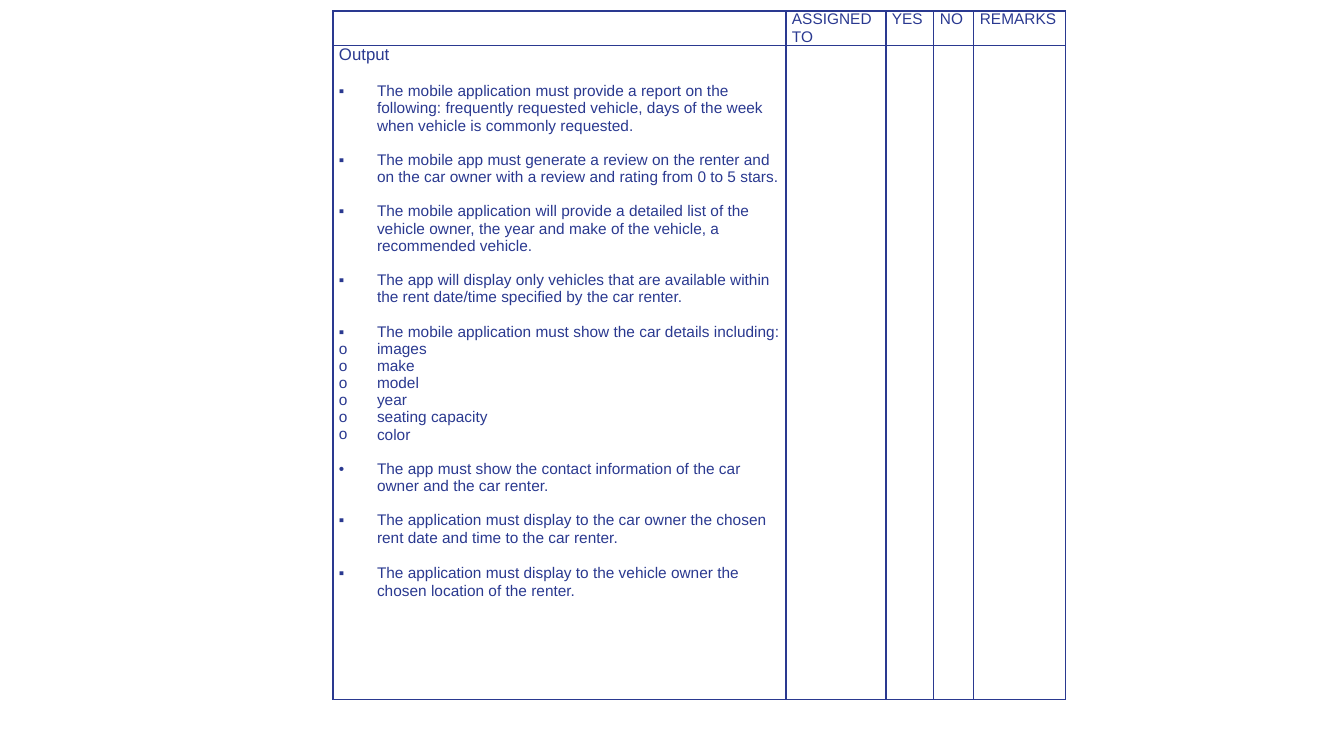
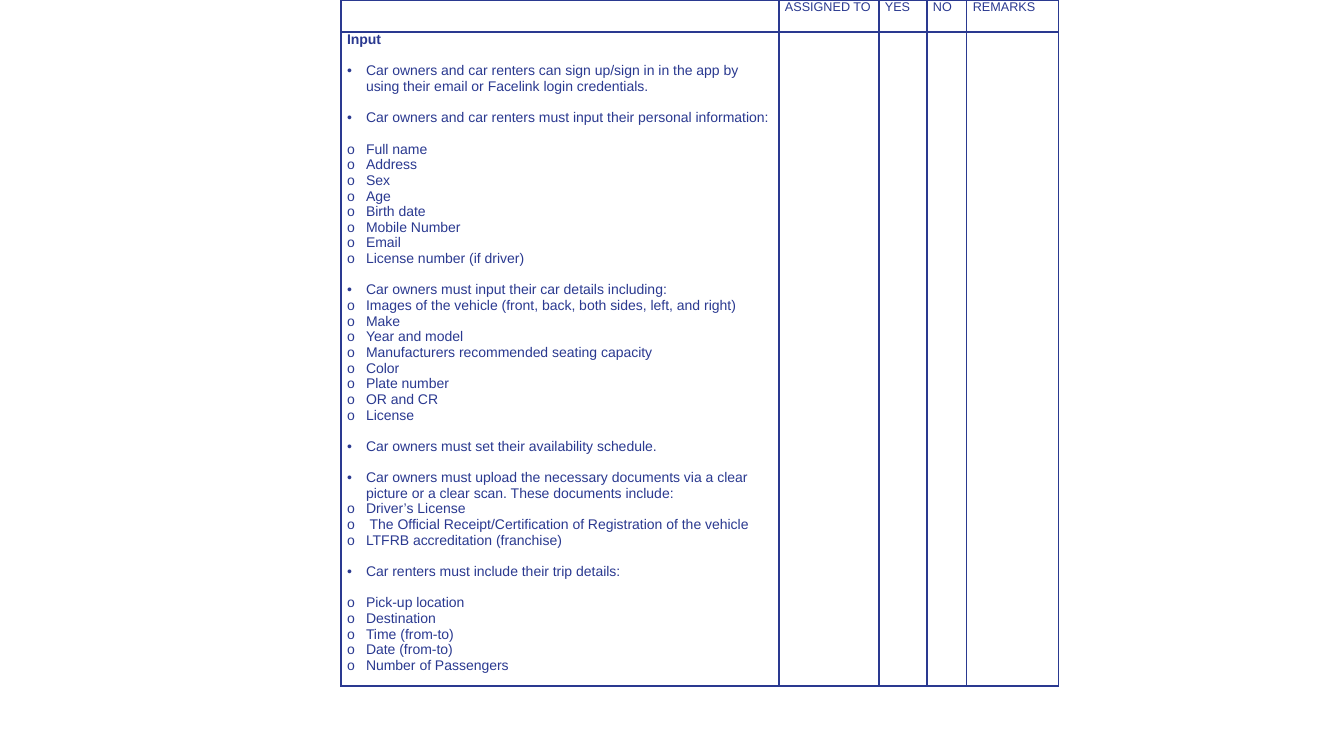
"""Builds two requirement checklists, one table per slide."""
from lxml.etree import SubElement
from pptx import Presentation
from pptx.dml.color import RGBColor as Rgb
from pptx.oxml.ns import qn
from pptx.util import Pt

COLORS = {"ink": "2A3990"}
HEADINGS = ["", "ASSIGNED TO", "YES", "NO", "REMARKS"]
ANSWER_WIDTHS = [100, 48, 40, 92]
SQUARE, DOT, RING = "▪", "•", "o"

OUTPUT_GROUPS = [
    (13.4, SQUARE, ["The mobile application must provide a report on the following: frequently "
                    "requested vehicle, days of the week when vehicle is commonly requested."]),
    (12.3, SQUARE, ["The mobile app must generate a review on the renter and on the car owner "
                    "with a review and rating from 0 to 5 stars."]),
    (12.3, SQUARE, ["The mobile application will provide a detailed list of the vehicle owner, "
                    "the year and make of the vehicle, a recommended vehicle."]),
    (12.3, SQUARE, ["The app will display only vehicles that are available within the rent "
                    "date/time specified by the car renter."]),
    (12.3, SQUARE, ["The mobile application must show the car details including:"]),
    (0, RING, ["images", "make", "model", "year", "seating capacity", "color"]),
    (12.3, DOT, ["The app must show the contact information of the car owner and the car renter."]),
    (12.3, SQUARE, ["The application must display to the car owner the chosen rent date and time "
                    "to the car renter."]),
    (13.4, SQUARE, ["The application must display to the vehicle owner the chosen location of "
                    "the renter."]),
]

INPUT_GROUPS = [
    (11.2, DOT, ["Car owners and car renters can sign up/sign in in the app by using their email "
                 "or Facelink login credentials."]),
    (11.2, DOT, ["Car owners and car renters must input their personal information:"]),
    (11.2, RING, ["Full name", "Address", "Sex", "Age", "Birth date", "Mobile Number", "Email",
                  "License number (if driver)"]),
    (11.2, DOT, ["Car owners must input their car details including:"]),
    (0, RING, ["Images of the vehicle (front, back, both sides, left, and right)", "Make",
               "Year and model", "Manufacturers recommended seating capacity", "Color",
               "Plate number", "OR and CR", "License"]),
    (11.2, DOT, ["Car owners must set their availability schedule."]),
    (11.2, DOT, ["Car owners must upload the necessary documents via a clear picture or a clear "
                 "scan. These documents include:"]),
    (0, RING, ["Driver’s License",
               " The Official Receipt/Certification of Registration of the vehicle",
               "LTFRB accreditation (franchise)"]),
    (11.2, DOT, ["Car renters must include their trip details:"]),
    (11.2, RING, ["Pick-up location", "Destination", "Time (from-to)", "Date (from-to)",
                  "Number of Passengers"]),
]


class Deck:
    """Holds the shared style and the current slide."""

    font = "Arial"
    inset = 6

    def __init__(self):
        """Start a deck of 1344 by 756 px."""
        self.prs = Presentation()
        self.prs.slide_width, self.prs.slide_height = self.px(1344), self.px(756)

    def px(self, length):
        """Turn px into EMU."""
        return round(length * 914400 / 100.8)

    def new_slide(self):
        """Add a blank slide and make it current."""
        self.slide = self.prs.slides.add_slide(self.prs.slide_layouts[6])

    def style(self, paragraph, size, bold=False):
        """Set the font of a paragraph."""
        font = paragraph.font
        font.name, font.size, font.bold = self.font, Pt(size), bold
        font.color.rgb = Rgb.from_string(COLORS["ink"])

    def format_cell(self, cell):
        """Give a cell thin borders, side insets and no fill."""
        cell.margin_left = cell.margin_right = self.px(self.inset)
        cell.margin_top = cell.margin_bottom = 0
        properties = cell._tc.get_or_add_tcPr()
        for side in ("lnL", "lnR", "lnT", "lnB"):
            border = SubElement(properties, qn(f"a:{side}"), w=str(Pt(1)))
            SubElement(SubElement(border, qn("a:solidFill")), qn("a:srgbClr"), val=COLORS["ink"])
        cell.fill.background()

    def bullet(self, paragraph, mark, indent):
        """Hang a paragraph behind a bullet mark."""
        properties = paragraph._p.get_or_add_pPr()
        properties.set("marL", str(self.px(indent)))
        properties.set("indent", str(-self.px(indent)))
        SubElement(properties, qn("a:buFont"), typeface=self.font)
        SubElement(properties, qn("a:buChar"), char=mark)

    def requirements(self, frame, title, groups, title_size, size, bold, indent):
        """Write a title and its groups of bulleted requirements."""
        heading = frame.paragraphs[0]
        heading.text = title
        self.style(heading, title_size, bold)
        for gap, mark, lines in groups:
            for position, line in enumerate(lines):
                requirement = frame.add_paragraph()
                requirement.text = line
                requirement.space_before = Pt(0 if position else gap)
                self.bullet(requirement, mark, indent)
                self.style(requirement, size)

    def checklist(self, left, top, topic_width, heights, heading_size):
        """Add the checklist table and return its topic cell's text frame."""
        widths = [topic_width, *ANSWER_WIDTHS]
        table = self.slide.shapes.add_table(
            len(heights), len(widths), self.px(left), self.px(top),
            self.px(sum(widths)), self.px(sum(heights))).table
        table.first_row = table.horz_banding = False
        for column, width in zip(table.columns, widths):
            column.width = self.px(width)
        for row, height in zip(table.rows, heights):
            row.height = self.px(height)
        for cell in table.iter_cells():
            self.format_cell(cell)
            self.style(cell.text_frame.paragraphs[0], heading_size)
        for cell, heading in zip(table.rows[0].cells, HEADINGS):
            if heading:
                cell.text_frame.paragraphs[0].text = heading
        return table.cell(1, 0).text_frame


def main():
    """Build and save both slides."""
    deck = Deck()
    deck.new_slide()
    output = deck.checklist(333, 11, 453, [34, 654], heading_size=11)
    deck.requirements(output, "Output", OUTPUT_GROUPS, 12, 11, bold=False, indent=38)
    deck.new_slide()
    inputs = deck.checklist(341, 0, 438, [32, 654], heading_size=9)
    deck.requirements(inputs, "Input", INPUT_GROUPS, 10, 10, bold=True, indent=19)
    deck.prs.save("out.pptx")


if __name__ == "__main__":
    main()
